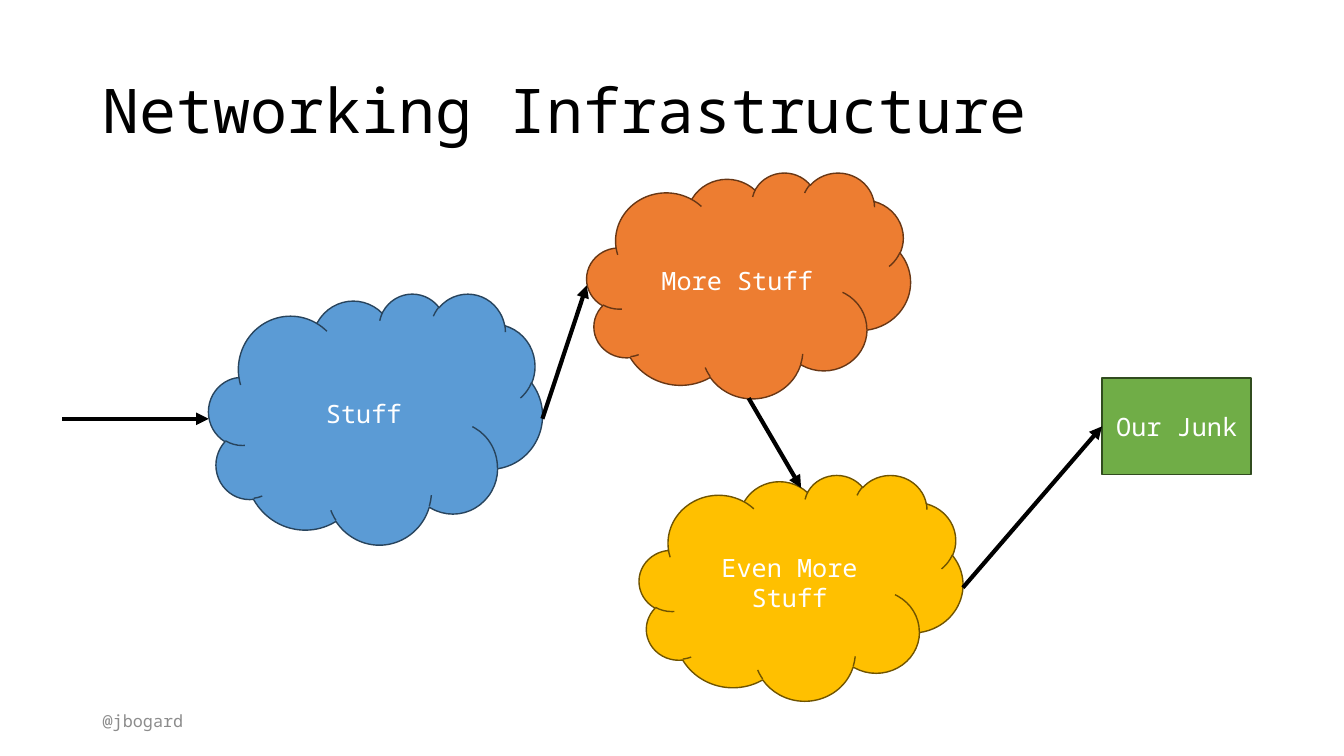
from lxml import etree
from pptx import Presentation
from pptx.dml.color import RGBColor
from pptx.enum.shapes import MSO_CONNECTOR, MSO_SHAPE
from pptx.enum.text import MSO_ANCHOR, PP_ALIGN
from pptx.oxml.ns import qn
from pptx.util import Inches, Pt

CLOUD, RECTANGLE = MSO_SHAPE.CLOUD, MSO_SHAPE.RECTANGLE
STRAIGHT = MSO_CONNECTOR.STRAIGHT
MIDDLE = MSO_ANCHOR.MIDDLE
LEFT, CENTER = PP_ALIGN.LEFT, PP_ALIGN.CENTER

FONT = "Noto Sans Mono"
BLACK = RGBColor(0x00, 0x00, 0x00)
WHITE = RGBColor(0xFF, 0xFF, 0xFF)
GRAY = RGBColor(0x8C, 0x8C, 0x8C)
BLUE, DARK_BLUE = RGBColor(0x5B, 0x9B, 0xD5), RGBColor(0x28, 0x44, 0x5D)
ORANGE, DARK_ORANGE = RGBColor(0xED, 0x7D, 0x31), RGBColor(0x68, 0x37, 0x15)
GOLD, DARK_GOLD = RGBColor(0xFF, 0xC0, 0x00), RGBColor(0x70, 0x54, 0x00)
GREEN, DARK_GREEN = RGBColor(0x70, 0xAD, 0x47), RGBColor(0x31, 0x4C, 0x1F)

# text, (left, top, width, height), size, color, line spacing
LABELS = [
    ("Networking Infrastructure", (0.92, 0.4, 11.5, 1.45), 44, BLACK, 0.9),
    ("@jbogard", (0.92, 6.95, 3, 0.4), 12, GRAY, 1.0),
]
# text: outline, (left, top, width, height), fill, line
STATIONS = {
    "Stuff": (CLOUD, (2.07, 2.91, 3.31, 2.49), BLUE, DARK_BLUE),
    "More Stuff": (CLOUD, (5.82, 1.71, 3.21, 2.24), ORANGE, DARK_ORANGE),
    "Even More Stuff": (CLOUD, (6.34, 4.71, 3.21, 2.24), GOLD, DARK_GOLD),
    "Our Junk": (RECTANGLE, (10.93, 3.75, 1.48, 0.96), GREEN, DARK_GREEN),
}
# (station, side) to (station, side)
HOPS = [
    (("Stuff", "right"), ("More Stuff", "left")),
    (("More Stuff", "bottom"), ("Even More Stuff", "top")),
    (("Even More Stuff", "right"), ("Our Junk", "left")),
]
ENTRY_LEFT = 0.62
CLOUD_TOP_INSET = 0.13
LEFT_SITE = 1


def write(shape, text, size, color, align, spacing=1.0):
    frame = shape.text_frame
    frame.word_wrap = True
    frame.vertical_anchor = MIDDLE
    frame.text = text
    paragraph = frame.paragraphs[0]
    paragraph.alignment = align
    paragraph.line_spacing = spacing
    font = paragraph.runs[0].font
    font.name, font.size = FONT, Pt(size)
    font.color.rgb = color


def side_point(station, side):
    """Middle of a station's side, in inches; a cloud's top edge dips inward."""
    left, top, width, height = STATIONS[station][1]
    return {
        "left": (left, top + height / 2),
        "right": (left + width, top + height / 2),
        "top": (left + width / 2, top + CLOUD_TOP_INSET),
        "bottom": (left + width / 2, top + height),
    }[side]


def add_arrow(slide, start, end):
    arrow = slide.shapes.add_connector(STRAIGHT, *map(Inches, start + end))
    arrow.line.color.rgb = BLACK
    arrow.line.width = Pt(3)
    line = arrow.line._get_or_add_ln()
    etree.SubElement(line, qn("a:tailEnd"), type="triangle")
    etree.SubElement(arrow._element.spPr, qn("a:effectLst"))
    return arrow


def main():
    deck = Presentation()
    deck.slide_width, deck.slide_height = Inches(13.33), Inches(7.5)
    slide = deck.slides.add_slide(deck.slide_layouts[6])

    for text, box, size, color, spacing in LABELS:
        label = slide.shapes.add_textbox(*map(Inches, box))
        write(label, text, size, color, LEFT, spacing)

    stations = {}
    for text, (outline, box, fill, edge) in STATIONS.items():
        station = slide.shapes.add_shape(outline, *map(Inches, box))
        station.shadow.inherit = False
        station.fill.solid()
        station.fill.fore_color.rgb = fill
        station.line.color.rgb = edge
        station.line.width = Pt(1)
        write(station, text, 18, WHITE, CENTER)
        stations[text] = station

    entry = side_point("Stuff", "left")
    add_arrow(slide, (ENTRY_LEFT, entry[1]), entry)
    for origin, target in HOPS:
        arrow = add_arrow(slide, side_point(*origin), side_point(*target))
        if STATIONS[target[0]][0] == RECTANGLE:
            arrow.end_connect(stations[target[0]], LEFT_SITE)

    deck.save("out.pptx")


if __name__ == "__main__":
    main()
